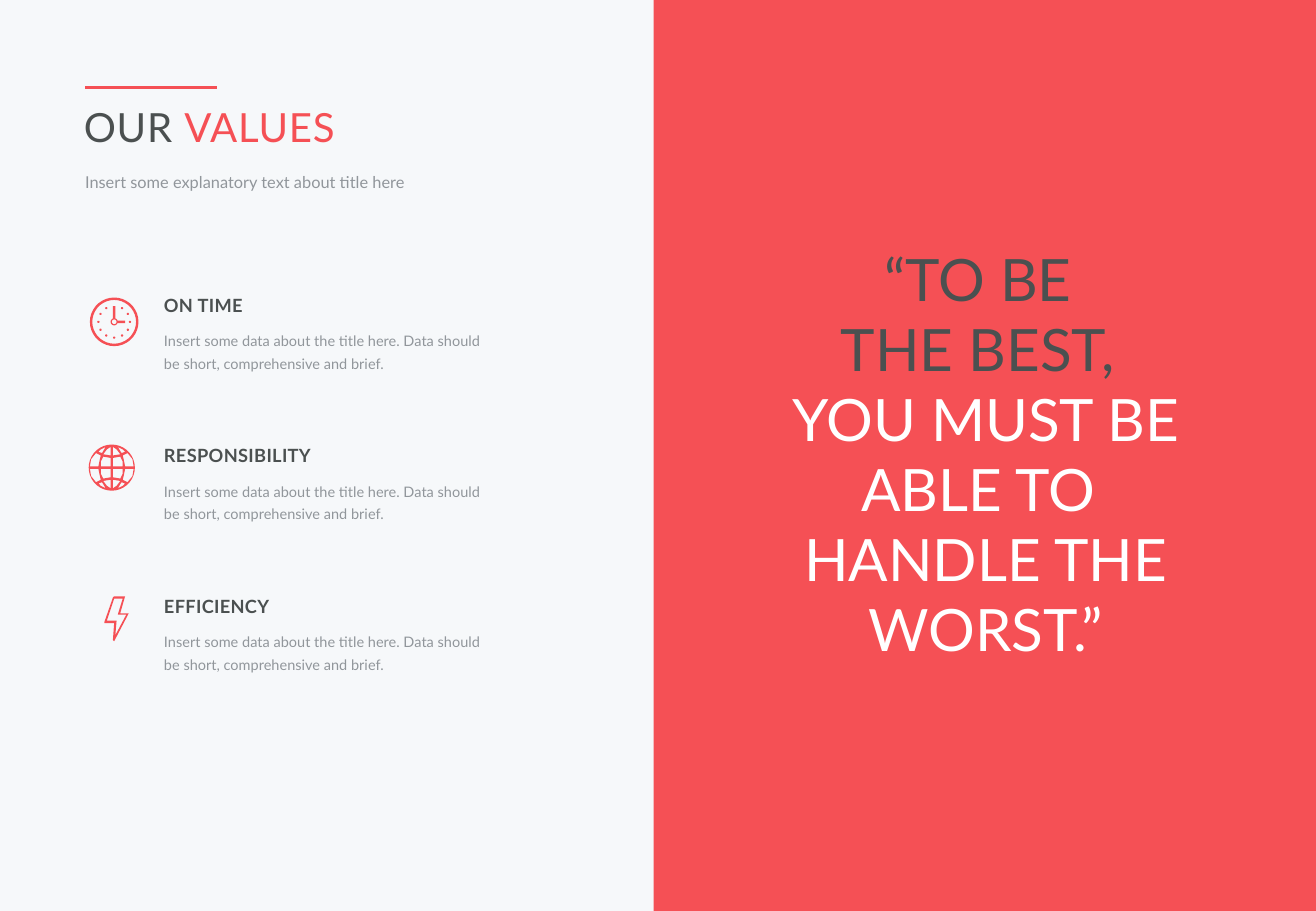
from dataclasses import dataclass
from math import cos, radians, sin

from lxml import etree
from pptx import Presentation
from pptx.dml.color import RGBColor
from pptx.enum.shapes import MSO_CONNECTOR, MSO_SHAPE
from pptx.enum.text import MSO_ANCHOR, MSO_AUTO_SIZE, PP_ALIGN
from pptx.oxml.ns import qn
from pptx.util import Inches, Pt

STRAIGHT = MSO_CONNECTOR.STRAIGHT
RECTANGLE = MSO_SHAPE.RECTANGLE
LEFT, CENTER = PP_ALIGN.LEFT, PP_ALIGN.CENTER
TOP = MSO_ANCHOR.TOP
NO_AUTOFIT = MSO_AUTO_SIZE.NONE


@dataclass(frozen=True)
class Theme:
    font: str = "Lato"
    background: RGBColor = RGBColor(0xF6, 0xF8, 0xFA)
    accent: RGBColor = RGBColor(0xF5, 0x50, 0x55)
    dark: RGBColor = RGBColor(0x4B, 0x50, 0x50)
    gray: RGBColor = RGBColor(0x91, 0x96, 0x9B)
    white: RGBColor = RGBColor(0xFF, 0xFF, 0xFF)
    quote_size: float = 34.6
    title_size: float = 23.8
    heading_size: float = 10.8
    subtitle_size: float = 9.7
    body_size: float = 8.6
    rule_line: float = 2.25


theme = Theme()


def write_text(shape, paragraphs, box, size, bold=False, align=LEFT, line_spacing=1.0, tracking=0):
    """Place a text shape and fill it; each paragraph is a list of (text, color)."""
    shape.left, shape.top, shape.width, shape.height = map(Inches, box)
    frame = shape.text_frame
    frame.margin_left = frame.margin_top = frame.margin_right = frame.margin_bottom = 0
    frame.word_wrap = True
    frame.auto_size = NO_AUTOFIT
    frame.vertical_anchor = TOP
    for index, runs in enumerate(paragraphs):
        paragraph = frame.add_paragraph() if index else frame.paragraphs[0]
        paragraph.alignment = align
        paragraph.line_spacing = line_spacing
        paragraph.space_before = Pt(0)
        for text, color in runs:
            run = paragraph.add_run()
            run.text = text
            run.font.name = theme.font
            run.font.size = Pt(size)
            run.font.bold = bold
            run.font.color.rgb = color
            if tracking:
                run._r.get_or_add_rPr().set("spc", str(tracking))


def circle(x, y, radius, count):
    """Return evenly spaced points around a center."""
    angles = [radians(360 * step / count) for step in range(count)]
    return [(x + radius * cos(angle), y + radius * sin(angle)) for angle in angles]


presentation = Presentation()
presentation.slide_width = Inches(10.83)
presentation.slide_height = Inches(7.5)
slide = presentation.slides.add_slide(presentation.slide_layouts[1])
slide.background.fill.solid()
slide.background.fill.fore_color.rgb = theme.background
shapes = slide.shapes

# Quote panel
panel = shapes.add_shape(RECTANGLE, Inches(5.38), 0, Inches(5.45), Inches(7.5))
panel.fill.solid()
panel.fill.fore_color.rgb = theme.accent
panel.line.fill.background()
panel.shadow.inherit = False
quote = [
    [("“TO BE ", theme.dark)],
    [("THE BEST, ", theme.dark)],
    [("YOU MUST BE ABLE TO ", theme.white)],
    [("HANDLE THE WORST.”", theme.white)],
]
write_text(shapes.add_textbox(0, 0, 0, 0), quote, (6.05, 2, 4.12, 3.5),
           theme.quote_size, align=CENTER)

# Title, accent rule and subtitle
write_text(shapes.title, [[("OUR ", theme.dark), ("VALUES", theme.accent)]],
           (0.69, 0.84, 3.89, 0.4), theme.title_size, tracking=50)
rule = shapes.add_connector(STRAIGHT, Inches(0.7), Inches(0.72), Inches(1.79), Inches(0.72))
rule.line.color.rgb = theme.accent
rule.line.width = Pt(theme.rule_line)
etree.SubElement(rule._element.spPr, qn("a:effectLst"))

subtitle = slide.placeholders[1]
subtitle_format = subtitle.text_frame.paragraphs[0]._p.get_or_add_pPr()
subtitle_format.set("marL", "0")
subtitle_format.set("indent", "0")
etree.SubElement(subtitle_format, qn("a:buNone"))
write_text(subtitle, [[("Insert some explanatory text about title here", theme.gray)]],
           (0.7, 1.41, 3.89, 0.17), theme.subtitle_size, line_spacing=Pt(12))

# Value descriptions
description = "Insert some data about the title here. Data should be short, comprehensive and brief."
for row, heading in enumerate(["ON TIME", "RESPONSIBILITY", "EFFICIENCY"]):
    top = 2.42 + 1.24 * row
    write_text(shapes.add_textbox(0, 0, 0, 0), [[(heading, theme.dark)]],
               (1.35, top, 2.66, 0.18), theme.heading_size, bold=True, tracking=20)
    write_text(shapes.add_textbox(0, 0, 0, 0), [[(description, theme.gray)]],
               (1.35, top + 0.27, 2.66, 0.38), theme.body_size, line_spacing=1.3)

# Clock: rim, hub, hands and hour marks; the long hand covers twelve o'clock
clock_x, clock_y = 0.94, 2.65
clock = [circle(clock_x, clock_y, radius, count)
         for radius, count in [(0.2, 36), (0.18, 36), (0.03, 12), (0.02, 12)]]
for left, top, right, bottom in [(0.93, 2.52, 0.95, 2.62), (0.97, 2.64, 1.03, 2.66)]:
    clock.append([(left, top), (right, top), (right, bottom), (left, bottom)])
hours = circle(clock_x, clock_y, 0.13, 12)
for hour_x, hour_y in hours[:9] + hours[10:]:
    clock.append(circle(hour_x, hour_y, 0.01, 6))

# Globe: a disc with the same four openings mirrored into each quarter
globe_x, globe_y = 0.92, 3.85
openings = [
    [(0.01, 0.01), (0.01, 0.08), (0.07, 0.09), (0.09, 0.05), (0.09, 0.01)],
    [(0.01, 0.1), (0.01, 0.17), (0.04, 0.15), (0.07, 0.11)],
    [(0.11, 0.01), (0.18, 0.01), (0.17, 0.07), (0.13, 0.12), (0.09, 0.1), (0.1, 0.06)],
    [(0.05, 0.17), (0.08, 0.12), (0.11, 0.13), (0.09, 0.15)],
]
globe = [circle(globe_x, globe_y, 0.19, 36)]
for side_x in (-1, 1):
    for side_y in (-1, 1):
        for opening in openings:
            globe.append([(globe_x + side_x * x, globe_y + side_y * y) for x, y in opening])

# Lightning bolt: outer and inner edge
bolt = [
    [(0.94, 4.91), (1.03, 4.91), (0.99, 5.05), (1.06, 5.05), (0.94, 5.28),
     (0.93, 5.27), (0.94, 5.13), (0.86, 5.13), (0.86, 5.12), (0.93, 4.92)],
    [(0.95, 5.23), (0.96, 5.11), (0.88, 5.11), (0.94, 4.93),
     (1.01, 4.93), (0.97, 5.06), (1.04, 5.06)],
]

# Draw each icon as one filled outline
for contours in (globe, clock, bolt):
    builder = None
    for contour in contours:
        points = [(Inches(x), Inches(y)) for x, y in contour]
        if builder is None:
            builder = shapes.build_freeform(*points[0])
        else:
            builder.move_to(*points[0])
        builder.add_line_segments(points[1:], close=True)
    icon = builder.convert_to_shape()
    icon.fill.solid()
    icon.fill.fore_color.rgb = theme.accent
    icon.line.fill.background()
    icon.shadow.inherit = False

presentation.save("out.pptx")
